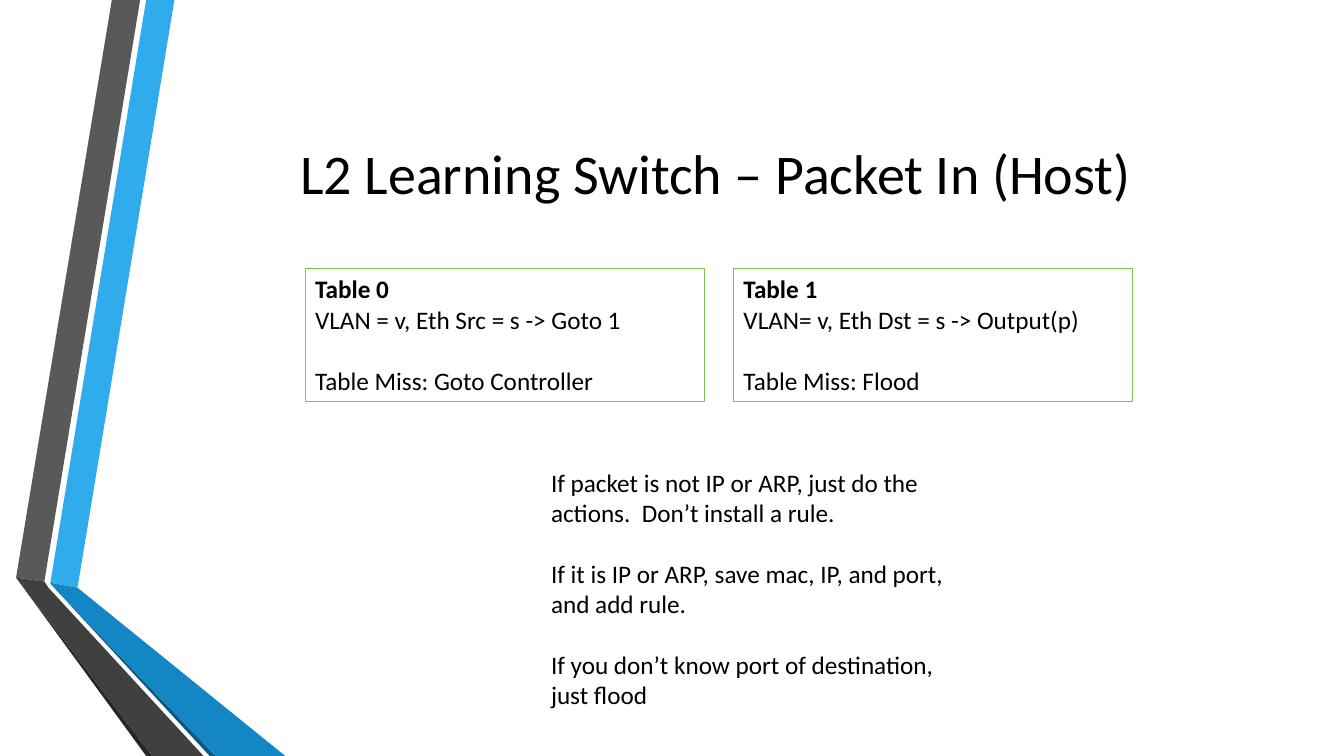
"""Build the L2 learning switch slide: ribbon, title, two flow tables and notes."""
from pptx import Presentation
from pptx.dml.color import RGBColor
from pptx.enum.shapes import MSO_SHAPE
from pptx.enum.text import MSO_ANCHOR, PP_ALIGN
from pptx.util import Pt

RECTANGLE = MSO_SHAPE.RECTANGLE
TOP, MIDDLE = MSO_ANCHOR.TOP, MSO_ANCHOR.MIDDLE
LEFT, CENTER = PP_ALIGN.LEFT, PP_ALIGN.CENTER

BLACK = RGBColor(0x00, 0x00, 0x00)
GREEN = RGBColor(0x80, 0xC3, 0x4F)
SKY = RGBColor(0x30, 0xAC, 0xEC)
BLUE = RGBColor(0x12, 0x87, 0xC3)
NAVY = RGBColor(0x0C, 0x5A, 0x82)
GRAY = RGBColor(0x59, 0x59, 0x59)
CHARCOAL = RGBColor(0x40, 0x40, 0x40)
SOOT = RGBColor(0x26, 0x26, 0x26)

RIBBONS = [
    (SKY, [(36, 416.2), (55.4, 419.8), (124.6, 0), (104.4, 0)]),
    (GRAY, [(100.1, 0), (79.9, 0), (11.5, 412.6), (31.7, 415.4)]),
    (SOOT, [(11.5, 412.6), (104.4, 540), (108.7, 540)]),
    (NAVY, [(36, 416.9), (149.8, 540), (154.1, 540)]),
    (BLUE, [(36, 416.9), (154.1, 540), (203.8, 540), (55.4, 419.8), (36, 416.2)]),
    (CHARCOAL, [(145.4, 540), (34.6, 419.8), (31.7, 415.4), (11.5, 412.6), (108.7, 540)]),
]
FLOW_TABLES = [
    ("Table 0", "VLAN = v, Eth Src = s -> Goto 1", "Table Miss: Goto Controller"),
    ("Table 1", "VLAN= v, Eth Dst = s -> Output(p)", "Table Miss: Flood"),
]
NOTES = [
    "If packet is not IP or ARP, just do the actions.  Don’t install a rule.",
    "If it is IP or ARP, save mac, IP, and port, and add rule.",
    "If you don’t know port of destination, just flood",
]
BODY_SIZE, LINE_GAP = 18, 22


def write(box, lines, size=BODY_SIZE, align=LEFT, anchor=TOP):
    """Fill a box with (text, bold, space before) lines."""
    frame = box.text_frame
    frame.word_wrap = True
    frame.vertical_anchor = anchor
    for index, (text, bold, gap) in enumerate(lines):
        para = frame.add_paragraph() if index else frame.paragraphs[0]
        para.alignment = align
        para.space_before = Pt(gap)
        span = para.add_run()
        span.text = text
        span.font.color.rgb = BLACK
        for name, value in {"name": "Calibri", "size": Pt(size), "bold": bold}.items():
            setattr(span.font, name, value)


deck = Presentation()
deck.slide_width, deck.slide_height = Pt(960), Pt(540)
page = deck.slides.add_slide(deck.slide_layouts[6])
shapes = page.shapes

for color, corners in RIBBONS:
    points = [(Pt(x), Pt(y)) for x, y in corners]
    builder = shapes.build_freeform(*points[0])
    builder.add_line_segments(points[1:], close=True)
    ribbon = builder.convert_to_shape()
    ribbon.shadow.inherit = False
    ribbon.fill.solid()
    ribbon.fill.fore_color.rgb = color
    ribbon.line.fill.background()

title = shapes.add_textbox(Pt(116.6), Pt(54), Pt(789), Pt(138))
write(title, [("L2 Learning Switch – Packet In (Host)", False, 0)], 40, CENTER, MIDDLE)

for column, (heading, rule, miss) in enumerate(FLOW_TABLES):
    box = shapes.add_shape(RECTANGLE, Pt(218 + 306 * column), Pt(192), Pt(285), Pt(94.5))
    box.shadow.inherit = False
    box.fill.background()
    box.line.color.rgb = GREEN
    box.line.width = Pt(0.75)
    write(box, [(heading, True, 0), (rule, False, 0), (miss, False, LINE_GAP)])

notes = shapes.add_textbox(Pt(386.5), Pt(330), Pt(300), Pt(181.5))
write(notes, [(text, False, LINE_GAP if row else 0) for row, text in enumerate(NOTES)])

deck.save("out.pptx")
